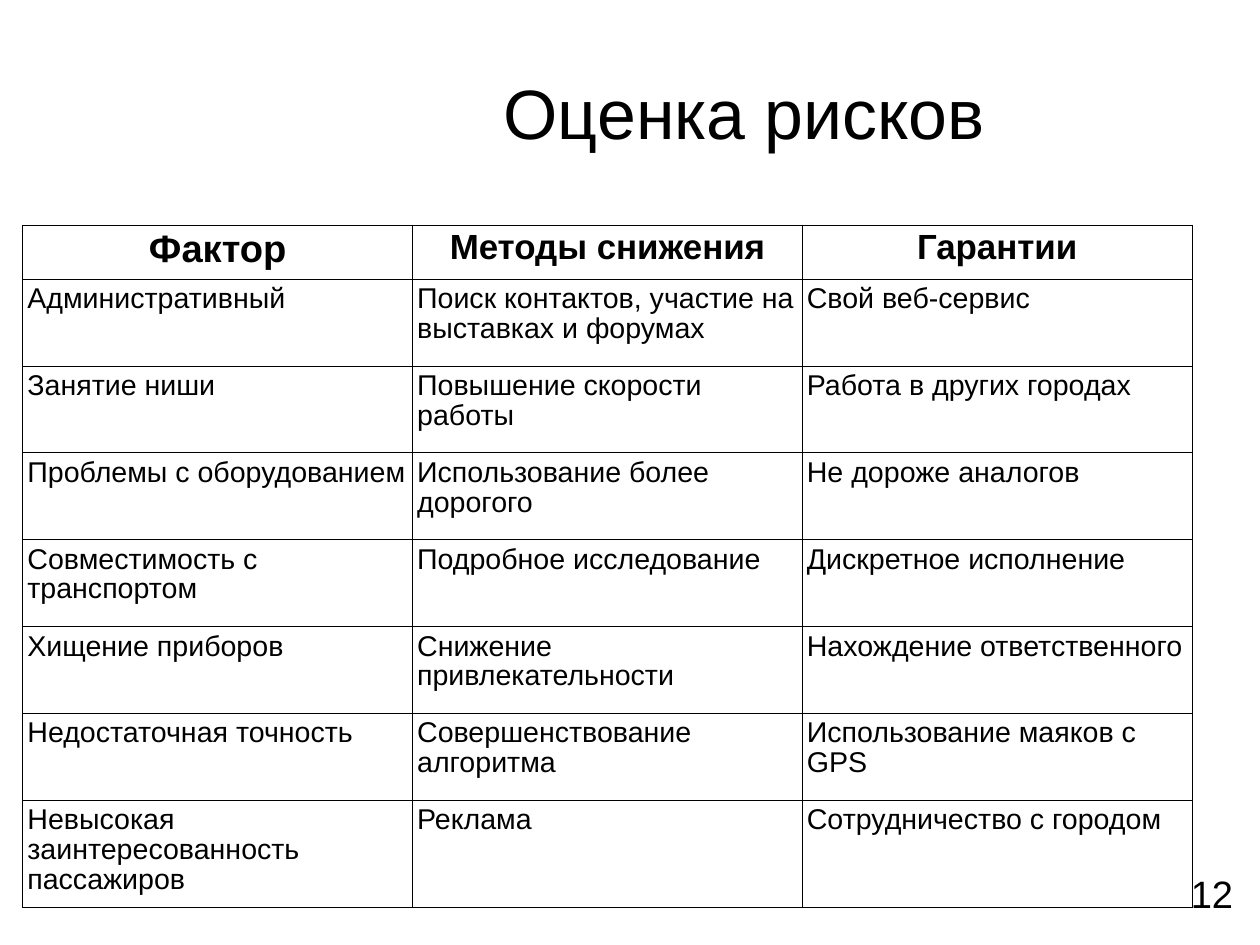
from dataclasses import dataclass

from lxml import etree
from pptx import Presentation
from pptx.dml.color import RGBColor
from pptx.enum.text import MSO_ANCHOR, PP_ALIGN
from pptx.oxml.ns import qn
from pptx.util import Inches, Pt

LEFT, CENTER = PP_ALIGN.LEFT, PP_ALIGN.CENTER
MIDDLE = MSO_ANCHOR.MIDDLE
TITLE_ONLY = 5

# Content
TITLE = "Оценка рисков"
PAGE_NUMBER = "12"
HEADERS = ("Фактор", "Методы снижения", "Гарантии")
RISKS = [
    ("Административный", "Поиск контактов, участие на выставках и форумах", "Свой веб-сервис"),
    ("Занятие ниши", "Повышение скорости работы", "Работа в других городах"),
    ("Проблемы с оборудованием", "Использование более дорогого", "Не дороже аналогов"),
    ("Совместимость с транспортом", "Подробное исследование", "Дискретное исполнение"),
    ("Хищение приборов", "Снижение привлекательности", "Нахождение ответственного"),
    ("Недостаточная точность", "Совершенствование алгоритма", "Использование маяков с GPS"),
    ("Невысокая заинтересованность пассажиров", "Реклама", "Сотрудничество с городом"),
]

# Layout in inches; the page measures 28 by 21 centimetres
CM_PER_INCH = 2.54
SLIDE_WIDTH, SLIDE_HEIGHT = 28 / CM_PER_INCH, 21 / CM_PER_INCH
COLUMN_WIDTH = 3.41
ROW_HEIGHTS = [0.47] + [0.76] * (len(RISKS) - 1) + [0.93]


@dataclass(frozen=True)
class Theme:
    font: str = "Arial"
    ink: str = "000000"
    title_size: int = 44
    number_size: int = 24
    header_sizes: tuple = (24, 22, 22)
    body_size: int = 18
    line_spacing: float = 0.93
    border_width: float = 0.68


THEME = Theme()


def write(text_frame, text, size, alignment=LEFT, bold=False):
    text_frame.text = text
    paragraph = text_frame.paragraphs[0]
    paragraph.alignment = alignment
    paragraph.line_spacing = THEME.line_spacing
    font = paragraph.runs[0].font
    font.name, font.size, font.bold = THEME.font, Pt(size), bold
    font.color.rgb = RGBColor.from_string(THEME.ink)


def set_borders(cell):
    properties = cell._tc.get_or_add_tcPr()
    for position, side in enumerate(("a:lnL", "a:lnR", "a:lnT", "a:lnB")):
        line = etree.Element(qn(side), w=str(Pt(THEME.border_width)))
        fill = etree.SubElement(line, qn("a:solidFill"))
        etree.SubElement(fill, qn("a:srgbClr"), val=THEME.ink)
        properties.insert(position, line)


def add_title(slide):
    title = slide.shapes.title
    title.left, title.top = Inches(2.56), Inches(0)
    title.width, title.height = Inches(7.91), Inches(2.04)
    text_frame = title.text_frame
    text_frame.margin_left = text_frame.margin_right = 0
    text_frame.margin_top = text_frame.margin_bottom = 0
    text_frame.vertical_anchor = MIDDLE
    write(text_frame, TITLE, THEME.title_size, CENTER)


def add_page_number(slide):
    box = slide.shapes.add_textbox(Inches(10.32), Inches(7.6), Inches(0.57), Inches(0.47))
    box.text_frame.word_wrap = False
    write(box.text_frame, PAGE_NUMBER, THEME.number_size)


def add_risk_table(slide):
    rows = [HEADERS, *RISKS]
    table = slide.shapes.add_table(
        len(rows), len(HEADERS), Inches(0.2), Inches(1.97),
        Inches(COLUMN_WIDTH * len(HEADERS)), Inches(sum(ROW_HEIGHTS)),
    ).table
    table.horz_banding = False
    for column in table.columns:
        column.width = Inches(COLUMN_WIDTH)
    for row, height in zip(table.rows, ROW_HEIGHTS):
        row.height = Inches(height)

    for row_index, texts in enumerate(rows):
        is_header = row_index == 0
        for column_index, text in enumerate(texts):
            cell = table.cell(row_index, column_index)
            cell.margin_left = cell.margin_right = Inches(0.04)
            cell.margin_top = cell.margin_bottom = Inches(0.05)
            cell.fill.background()
            set_borders(cell)
            size = THEME.header_sizes[column_index] if is_header else THEME.body_size
            write(cell.text_frame, text, size, CENTER if is_header else LEFT, is_header)


def main():
    presentation = Presentation()
    presentation.slide_width = Inches(SLIDE_WIDTH)
    presentation.slide_height = Inches(SLIDE_HEIGHT)
    slide = presentation.slides.add_slide(presentation.slide_layouts[TITLE_ONLY])
    add_title(slide)
    add_page_number(slide)
    add_risk_table(slide)
    presentation.save("out.pptx")


if __name__ == "__main__":
    main()
